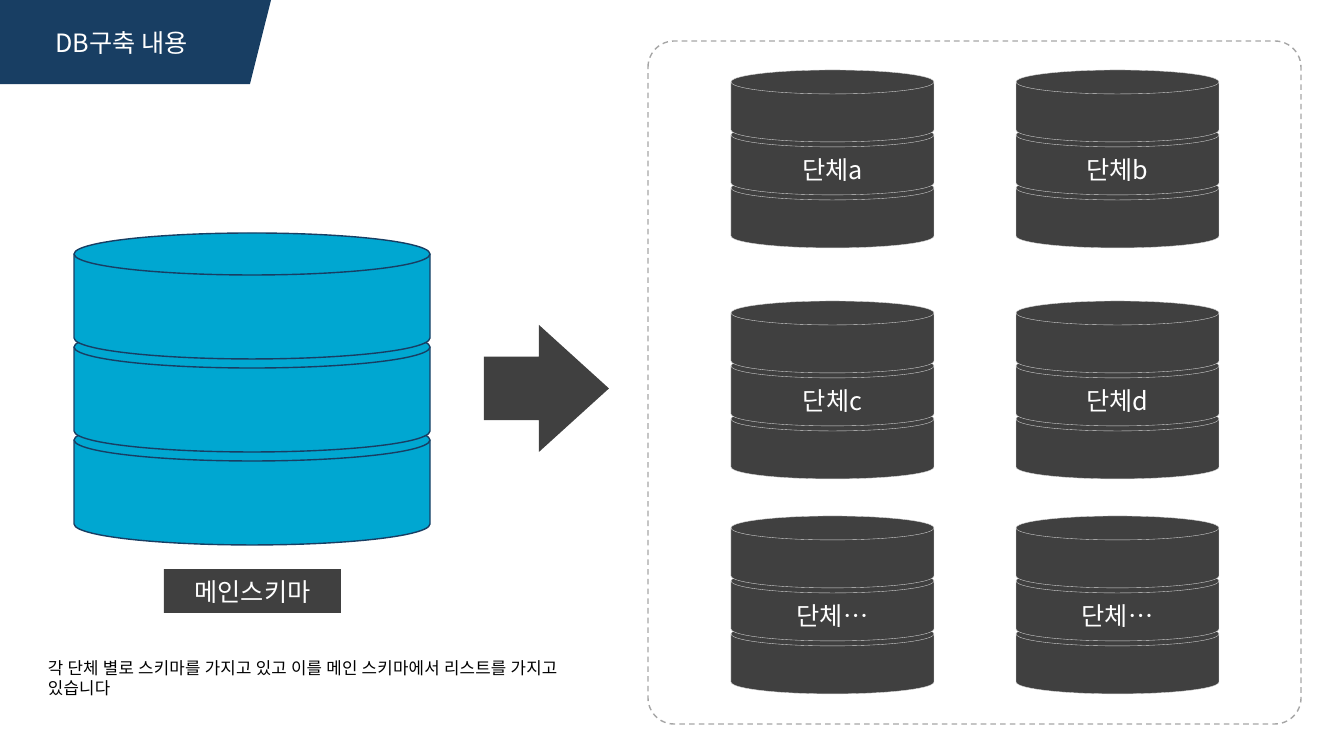
from dataclasses import dataclass

from lxml import etree
from pptx import Presentation
from pptx.dml.color import RGBColor
from pptx.enum.dml import MSO_LINE
from pptx.enum.shapes import MSO_SHAPE
from pptx.enum.text import MSO_ANCHOR, MSO_AUTO_SIZE, PP_ALIGN
from pptx.oxml.ns import qn
from pptx.shapes.autoshape import Shape
from pptx.slide import Slide
from pptx.util import Emu, Pt

WIDE, HIGH = 1344, 756
SCALE = 12192000 / WIDE
TITLE_ONLY = 5

DISK = MSO_SHAPE.FLOWCHART_MAGNETIC_DISK
ROUND = MSO_SHAPE.ROUNDED_RECTANGLE
ARROW = MSO_SHAPE.RIGHT_ARROW
RECT = MSO_SHAPE.RECTANGLE
DASH = MSO_LINE.DASH
CENTER, LEFT = PP_ALIGN.CENTER, PP_ALIGN.LEFT
MIDDLE = MSO_ANCHOR.MIDDLE
NO_FIT = MSO_AUTO_SIZE.NONE


@dataclass(frozen=True)
class Theme:
    font: str = "Noto Sans CJK KR"
    head: float = 18
    body: float = 12
    track: int = 18  # letter spacing of body text, in 1/100 pt
    thin: float = 0.25
    line: float = 1
    navy: str = "183E63"
    blue: str = "00A7D1"
    dark: str = "404040"
    gray: str = "A6A6A6"
    pale: str = "D9D9D9"
    white: str = "FFFFFF"
    black: str = "000000"


THEME = Theme()


@dataclass(frozen=True)
class Box:
    left: int
    top: int
    width: int
    height: int

    def emu(self) -> tuple[Emu, ...]:
        sides = (self.left, self.top, self.width, self.height)
        return tuple(Emu(round(side * SCALE)) for side in sides)


@dataclass(frozen=True)
class Stack:
    """Three disks piled up from the lowest one."""
    top: Box
    step: int
    fill: str
    edge: str
    weight: float


@dataclass(frozen=True)
class Group:
    label: str
    left: int
    top: int


LEFTS, TOPS = (731, 1016), (70, 301, 516)
LABELS = ("단체a", "단체b", "단체c", "단체d", "단체…", "단체…")
GROUPS = [
    Group(label, LEFTS[i % 2], TOPS[i // 2]) for i, label in enumerate(LABELS)
]
MAIN = Stack(Box(74, 233, 356, 126), 93, THEME.blue, THEME.navy, THEME.line)


def color(code: str) -> RGBColor:
    return RGBColor.from_string(code)


def write(shape: Shape, text: str, size: float, ink: str,
          align: PP_ALIGN = CENTER, track: int = 0) -> None:
    frame = shape.text_frame
    frame.word_wrap = True
    frame.auto_size = NO_FIT
    frame.vertical_anchor = MIDDLE
    para = frame.paragraphs[0]
    para.alignment = align
    run = para.add_run()
    run.text = text
    run.font.size = Pt(size)
    run.font.color.rgb = color(ink)
    run.font.name = THEME.font
    props = run._r.get_or_add_rPr()
    etree.SubElement(props, qn("a:ea"), typeface=THEME.font)
    if track:
        props.set("spc", str(track))


def paint(shape: Shape, fill: str | None, edge: str | None = None,
          weight: float = THEME.line) -> None:
    shape.shadow.inherit = False
    if fill:
        shape.fill.solid()
        shape.fill.fore_color.rgb = color(fill)
    else:
        shape.fill.background()
    if edge:
        shape.line.color.rgb = color(edge)
        shape.line.width = Pt(weight)
    else:
        shape.line.fill.background()


def add_title(slide: Slide, text: str) -> None:
    """Place the title on a banner with a slanted right side."""
    title = slide.shapes.title
    title.left, title.top, title.width, title.height = Box(0, 0, 243, 84).emu()
    write(title, text, THEME.head, THEME.white)

    pen = slide.shapes.build_freeform(0, 0, scale=SCALE)
    pen.add_line_segments([(271, 0), (250, 84), (0, 84)], close=True)
    banner = pen.convert_to_shape()
    paint(banner, THEME.navy)
    title._element.addprevious(banner._element)


def add_stack(slide: Slide, stack: Stack) -> None:
    pile = slide.shapes.add_group_shape()
    top = stack.top
    for level in (2, 1, 0):
        box = Box(top.left, top.top + level * stack.step, top.width, top.height)
        disk = pile.shapes.add_shape(DISK, *box.emu())
        paint(disk, stack.fill, stack.edge, stack.weight)


def add_group(slide: Slide, group: Group) -> None:
    top = Box(group.left, group.top, 203, 72)
    add_stack(slide, Stack(top, 53, THEME.dark, THEME.pale, THEME.thin))
    box = Box(group.left + 13, group.top + 78, 177, 43)
    label = slide.shapes.add_textbox(*box.emu())
    write(label, group.label, THEME.head, THEME.white)


def main() -> None:
    deck = Presentation()
    _, _, deck.slide_width, deck.slide_height = Box(0, 0, WIDE, HIGH).emu()
    slide = deck.slides.add_slide(deck.slide_layouts[TITLE_ONLY])
    shapes = slide.shapes

    add_title(slide, "DB구축 내용")
    add_stack(slide, MAIN)

    frame = shapes.add_shape(ROUND, *Box(648, 41, 653, 683).emu())
    frame.adjustments[0] = 0.04
    paint(frame, None, THEME.gray)
    frame.line.dash_style = DASH

    arrow = shapes.add_shape(ARROW, *Box(484, 325, 125, 127).emu())
    arrow.adjustments[1] = 0.56
    paint(arrow, THEME.dark)

    tag = shapes.add_shape(RECT, *Box(164, 569, 177, 44).emu())
    paint(tag, THEME.dark)
    write(tag, "메인스키마", THEME.head, THEME.white)

    for group in GROUPS:
        add_group(slide, group)

    note = shapes.add_textbox(*Box(38, 632, 541, 92).emu())
    write(note, "각 단체 별로 스키마를 가지고 있고 이를 메인 스키마에서 리스트를 가지고 있습니다",
          THEME.body, THEME.black, LEFT, THEME.track)

    deck.save("out.pptx")


if __name__ == "__main__":
    main()
